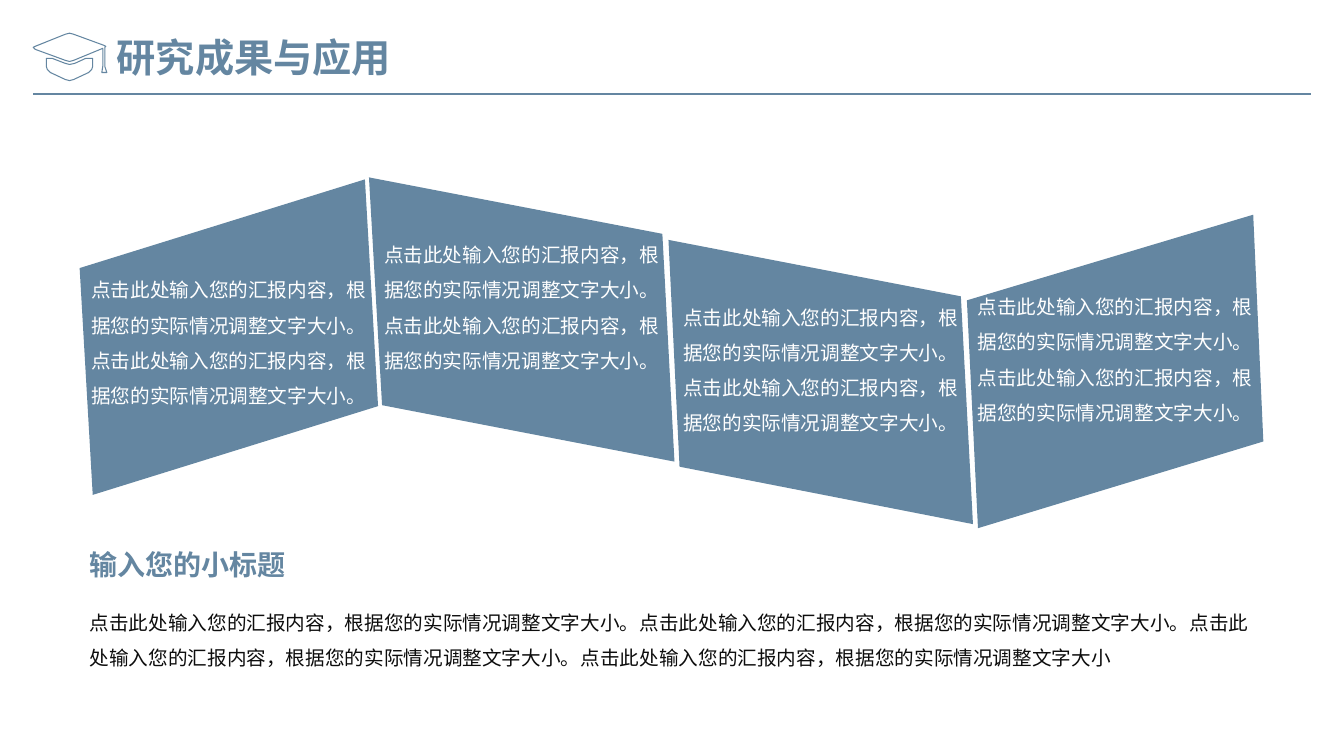
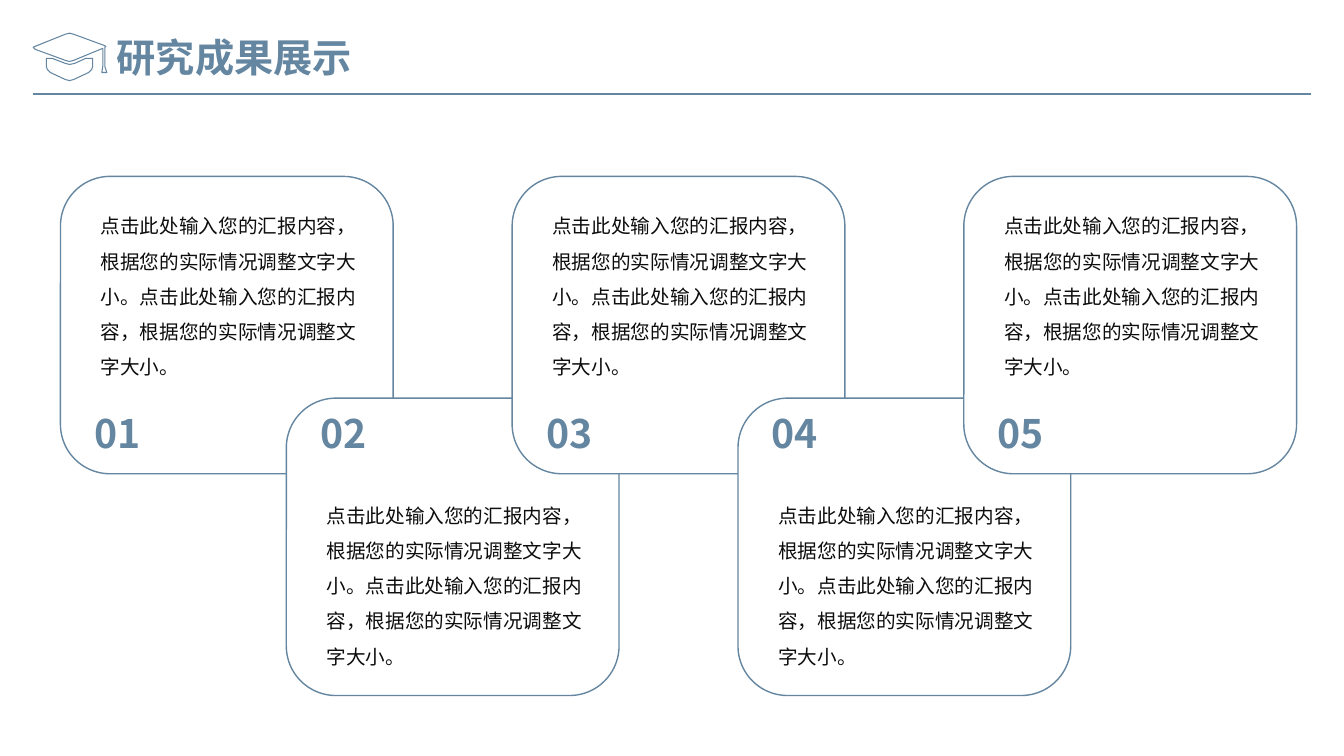
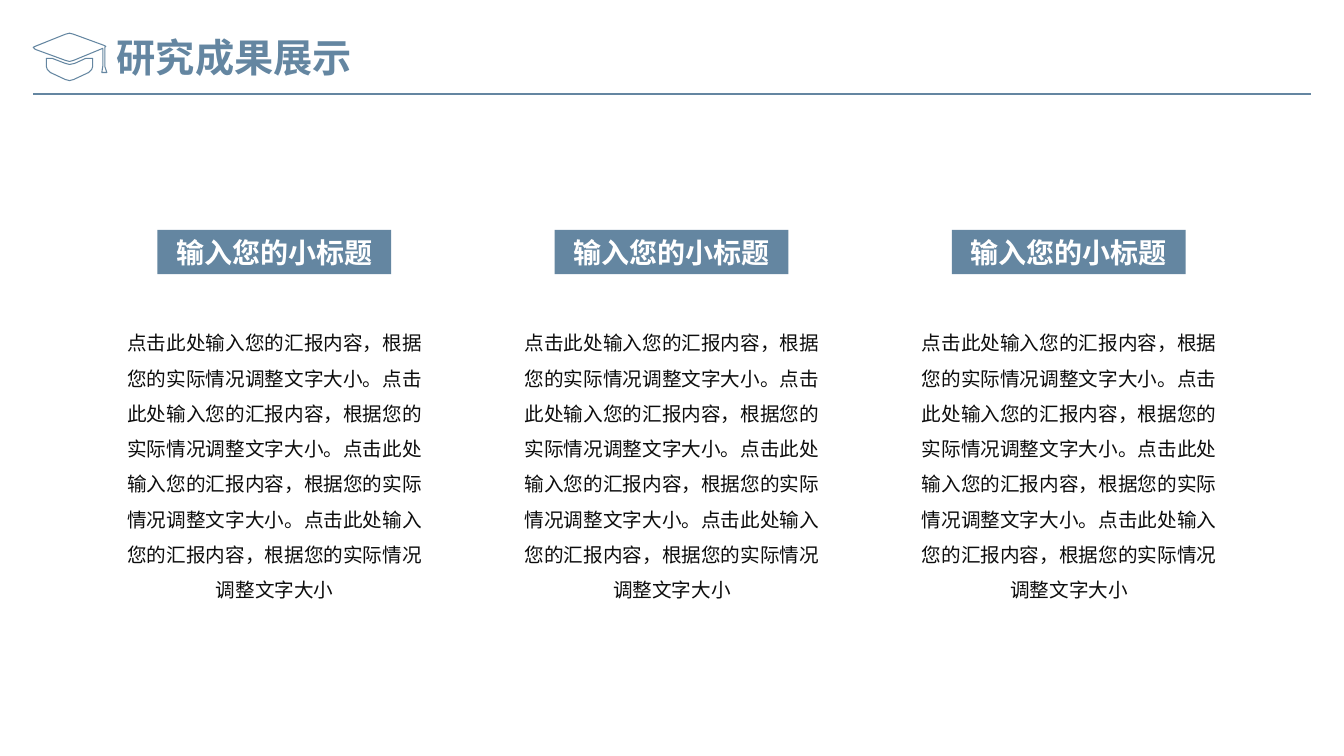
from lxml import etree
from pptx import Presentation
from pptx.dml.color import RGBColor
from pptx.enum.shapes import MSO_CONNECTOR, MSO_SHAPE
from pptx.enum.text import MSO_ANCHOR, MSO_AUTO_SIZE, PP_ALIGN
from pptx.oxml.ns import qn
from pptx.util import Inches, Pt

LEFT, CENTER = PP_ALIGN.LEFT, PP_ALIGN.CENTER
TOP, MIDDLE = MSO_ANCHOR.TOP, MSO_ANCHOR.MIDDLE
FIT_TEXT = MSO_AUTO_SIZE.SHAPE_TO_FIT_TEXT
RECTANGLE, ROUNDED = MSO_SHAPE.RECTANGLE, MSO_SHAPE.ROUNDED_RECTANGLE
STRAIGHT = MSO_CONNECTOR.STRAIGHT

FONT = "Noto Sans CJK SC"
COLORS = {"blue": "6486A1", "white": "FFFFFF", "ink": "0D0D0D"}
SUBTITLE = "输入您的小标题"
SENTENCE = "点击此处输入您的汇报内容，根据您的实际情况调整文字大小。"
SHORT_TEXT = SENTENCE * 2
LONG_TEXT = (SENTENCE * 4).rstrip("。")

CAP_BASE = [
    (0.46, 0.58), (0.52, 0.58), (0.65, 0.63), (0.69, 0.64), (0.74, 0.63),
    (0.85, 0.58), (0.92, 0.58), (0.92, 0.66), (0.91, 0.69), (0.88, 0.72),
    (0.73, 0.79), (0.69, 0.8), (0.65, 0.79), (0.5, 0.72), (0.47, 0.69), (0.46, 0.66),
]
CAP_BOARD = [
    (0.69, 0.33), (0.73, 0.34), (1.03, 0.45), (1.05, 0.46), (1.04, 0.47),
    (1.04, 0.66), (1.06, 0.72), (1.01, 0.72), (1.02, 0.66), (1.02, 0.48),
    (0.73, 0.6), (0.69, 0.61), (0.65, 0.6), (0.35, 0.49), (0.33, 0.47),
    (0.35, 0.46), (0.65, 0.34),
]
FOLDS = [
    ([(0.79, 2.66), (3.62, 1.78), (3.75, 4.03), (0.92, 4.91)], 0.05),
    ([(3.66, 1.76), (6.57, 2.32), (6.69, 4.58), (3.79, 4.02)], 0.4),
    ([(6.63, 2.38), (9.53, 2.94), (9.65, 5.2), (6.74, 4.63)], 0.4),
    ([(9.59, 2.98), (12.43, 2.13), (12.53, 4.38), (9.7, 5.24)], 0.4),
]


class Deck:
    """Holds the shared style and the slide being built."""

    def __init__(self):
        self.deck = Presentation()
        self.deck.slide_width = Inches(13.33)
        self.deck.slide_height = Inches(7.5)
        self.page = None

    def add_page(self, title):
        self.page = self.deck.slides.add_slide(self.deck.slide_layouts[6])
        self.outline([CAP_BASE, CAP_BOARD], line="blue")
        self.rule(0.33, 13, 0.93)
        self.text(title, 1.06, 0.28, 4.58, 0.57, size=28, color="blue", bold=True)

    def paint(self, shape, fill=None, line=None, width=1):
        shape.shadow.inherit = False
        if fill:
            shape.fill.solid()
            shape.fill.fore_color.rgb = RGBColor.from_string(COLORS[fill])
        else:
            shape.fill.background()
        if line:
            shape.line.color.rgb = RGBColor.from_string(COLORS[line])
            shape.line.width = Pt(width)
        else:
            shape.line.fill.background()

    def set_text(self, shape, words, size=14, color="ink", bold=False,
                 align=LEFT, anchor=TOP, spacing=1):
        frame = shape.text_frame
        frame.word_wrap = True
        frame.vertical_anchor = anchor
        para = frame.paragraphs[0]
        para.text = words
        para.alignment = align
        para.line_spacing = spacing
        font = para.font
        font.size = Pt(size)
        font.bold = bold
        font.color.rgb = RGBColor.from_string(COLORS[color])
        font.name = FONT
        style = para._p.pPr.find(qn("a:defRPr"))
        etree.SubElement(style, qn("a:ea")).set("typeface", FONT)

    def text(self, words, left, top, width, height, **style):
        box = self.page.shapes.add_textbox(
            Inches(left), Inches(top), Inches(width), Inches(height))
        box.text_frame.auto_size = FIT_TEXT
        self.set_text(box, words, **style)

    def shape(self, kind, left, top, width, height, **colors):
        shape = self.page.shapes.add_shape(
            kind, Inches(left), Inches(top), Inches(width), Inches(height))
        self.paint(shape, **colors)
        return shape

    def outline(self, contours, fill=None, line=None):
        rings = [[(Inches(x), Inches(y)) for x, y in points] for points in contours]
        builder = self.page.shapes.build_freeform(*rings[0][0], scale=1.0)
        builder.add_line_segments(rings[0][1:], close=True)
        for ring in rings[1:]:
            builder.move_to(*ring[0])
            builder.add_line_segments(ring[1:], close=True)
        shape = builder.convert_to_shape()
        self.paint(shape, fill, line, 0.75)
        return shape

    def rule(self, start, end, top):
        rule = self.page.shapes.add_connector(
            STRAIGHT, Inches(start), Inches(top), Inches(end), Inches(top))
        rule.line.color.rgb = RGBColor.from_string(COLORS["blue"])
        rule.line.width = Pt(1.5)
        etree.SubElement(rule._element.spPr, qn("a:effectLst"))

    def fold(self, corners, bottom_inset):
        panel = self.outline([corners], fill="blue")
        panel.text_frame.margin_bottom = Inches(bottom_inset)
        self.set_text(panel, SHORT_TEXT, color="white", align=CENTER,
                      anchor=MIDDLE, spacing=1.5)

    def card(self, index):
        left = 0.6 + 2.24 * index
        lowered = index % 2
        top = 3.95 if lowered else 1.75
        self.shape(ROUNDED, left, top, 3.3, 2.95, fill="white", line="blue")
        self.text(f"{index + 1:02}", left + 0.15, 4.01, 0.83, 0.57,
                  size=28, color="blue", bold=True, align=CENTER)
        self.text(SHORT_TEXT, left + 0.3, top + (0.88 if lowered else 0.21),
                  2.74, 1.83, spacing=1.5)

    def column(self, index):
        left = 1.15 + 3.94 * index
        tag = self.shape(RECTANGLE, left + 0.41, 2.28, 2.32, 0.44, fill="blue")
        self.set_text(tag, SUBTITLE, size=20, color="white", bold=True,
                      align=CENTER, anchor=MIDDLE)
        self.text(LONG_TEXT, left, 3.12, 3.15, 2.89, align=CENTER, spacing=1.5)


def main():
    deck = Deck()

    deck.add_page("研究成果与应用")
    for corners, bottom_inset in FOLDS:
        deck.fold(corners, bottom_inset)
    deck.text(SUBTITLE, 0.79, 5.38, 2.41, 0.44, size=20, color="blue", bold=True)
    deck.text(LONG_TEXT, 0.79, 5.89, 11.74, 0.77, spacing=1.5)

    deck.add_page("研究成果展示")
    for index in range(5):
        deck.card(index)

    deck.add_page("研究成果展示")
    for index in range(3):
        deck.column(index)

    deck.deck.save("out.pptx")


if __name__ == "__main__":
    main()
